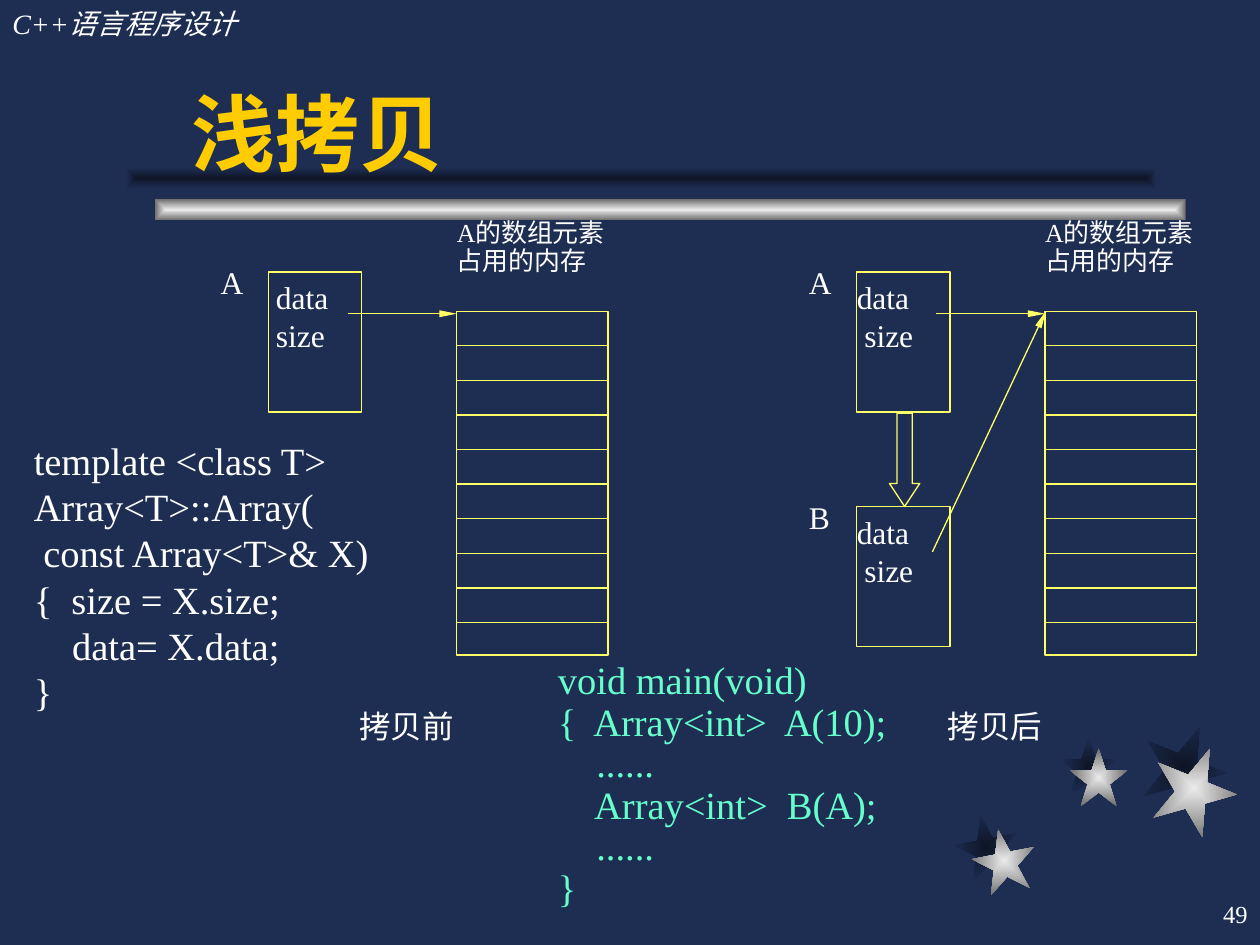
from typing import NamedTuple

from lxml.etree import SubElement
from pptx import Presentation
from pptx.dml.color import RGBColor as Rgb
from pptx.enum.shapes import MSO_CONNECTOR as Link, MSO_SHAPE as Kind
from pptx.enum.text import MSO_ANCHOR as Anchor, PP_ALIGN as Align
from pptx.oxml.ns import qn
from pptx.util import Inches, Pt

NAVY, DARK, PALE, GRAY = "1E2E53", "0E1526", "EAEAEA", "6C6C6C"
WHITE, GOLD, LEMON, MINT = "FFFFFF", "FFCC00", "FFFF66", "66FFCC"
SPACE = 0.06


class Box(NamedTuple):
    x: float
    y: float
    w: float
    h: float


class Style(NamedTuple):
    size: float = 18
    color: str = WHITE
    align: Align = Align.LEFT
    font: str = "Times New Roman"
    bold: bool = False
    slant: bool = False
    gap: float = 1.0
    pad: tuple = (0.1, 0.05)
    anchor: Anchor = Anchor.TOP
    wrap: bool = True


class Line(NamedTuple):
    text: str
    lead: float = 0


class Star(NamedTuple):
    x: float
    y: float
    size: float
    turn: float


class Node(NamedTuple):
    name: str
    x: float
    y: float
    leads: tuple


class Stage(NamedTuple):
    x: float
    leads: tuple
    title: str


LABEL = Style(align=Align.JUSTIFY, pad=(0, 0))
FIELD = LABEL._replace(pad=(0, 0.05))
NOTE = LABEL._replace(size=14.8, gap=0.9)
STEP = Style(align=Align.CENTER, pad=(0.1, 0))
CODE = Style(size=22)

TIPS = [(0, 0.38), (0.38, 0.38), (0.5, 0), (0.62, 0.38), (1, 0.38),
        (0.69, 0.62), (0.81, 1), (0.5, 0.76), (0.19, 1), (0.31, 0.62)]
SHADES = [Star(7.58, 6.47, 0.5, 349), Star(8.41, 5.85, 0.46, 0),
          Star(9.06, 5.75, 0.67, 22)]
STARS = [Star(7.72, 6.58, 0.5, 349), Star(8.49, 5.94, 0.46, 0),
         Star(9.14, 5.92, 0.67, 22)]
STAGES = [Stage(1.75, (SPACE, SPACE), "拷贝前"),
          Stage(6.42, (0, SPACE), "拷贝后")]
MAIN = """void main(void)
{  Array<int>  A(10);
    ......
    Array<int>  B(A);
    ......
}"""
COPY = """template <class T>
Array<T>::Array(
 const Array<T>& X)
{  size = X.size;
    data= X.data;
}"""


def paint(part, color: str) -> None:
    part.solid()
    part.fore_color.rgb = Rgb.from_string(color)


def edge(shape, color: str = LEMON) -> None:
    paint(shape.line.fill, color)
    shape.line.width = Pt(0.75)


def glow(shape, core: str, rim: str) -> None:
    shape.shadow.inherit = False
    shape.line.fill.background()
    shape.fill.gradient()
    grad = shape._element.spPr.find(qn("a:gradFill"))
    for child in list(grad):
        grad.remove(child)
    stops = SubElement(grad, qn("a:gsLst"))
    for pos, color in (("0", core), ("100000", rim)):
        stop = SubElement(stops, qn("a:gs"), pos=pos)
        SubElement(stop, qn("a:srgbClr"), val=color)
    way = SubElement(grad, qn("a:path"), path="rect")
    SubElement(way, qn("a:fillToRect"), l="50000", t="50000",
               r="50000", b="50000")


def write(shape, lines: list[Line], style: Style) -> None:
    frame = shape.text_frame
    frame.word_wrap = style.wrap
    frame.vertical_anchor = style.anchor
    frame.margin_left = frame.margin_right = Inches(style.pad[0])
    frame.margin_top = frame.margin_bottom = Inches(style.pad[1])
    for i, line in enumerate(lines):
        para = frame.add_paragraph() if i else frame.paragraphs[0]
        para.alignment = style.align
        para.line_spacing = style.gap
        if line.lead:
            para._p.get_or_add_pPr().set("marL", str(Inches(line.lead)))
        run = para.add_run()
        run.text = line.text
        font = run.font
        font.name, font.size = style.font, Pt(style.size)
        font.bold, font.italic = style.bold, style.slant
        paint(font.fill, style.color)


def add_text(shapes, box: Box, text: str, style: Style) -> None:
    area = shapes.add_textbox(*map(Inches, box))
    write(area, [Line(row) for row in text.split("\n")], style)


def add_frame(shapes, box: Box, kind: Kind = Kind.RECTANGLE):
    shape = shapes.add_shape(kind, *map(Inches, box))
    shape.shadow.inherit = False
    shape.fill.background()
    edge(shape)
    return shape


def add_bar(shapes, box: Box, core: str, rim: str) -> None:
    glow(shapes.add_shape(Kind.RECTANGLE, *map(Inches, box)), core, rim)


def add_star(shapes, star: Star, core: str, rim: str) -> None:
    dots = [(Inches(star.x + star.size * u), Inches(star.y + star.size * v))
            for u, v in TIPS]
    path = shapes.build_freeform(*dots[0])
    path.add_line_segments(dots[1:], close=True)
    shape = path.convert_to_shape()
    shape.rotation = star.turn
    glow(shape, core, rim)


def add_line(shapes, x1: float, y1: float, x2: float, y2: float,
             head: bool = False) -> None:
    line = shapes.add_connector(Link.STRAIGHT, *map(Inches, (x1, y1, x2, y2)))
    edge(line)
    if head:
        SubElement(line.line._get_or_add_ln(), qn("a:tailEnd"),
                   type="triangle", w="sm", len="lg")
    SubElement(line._element.spPr, qn("a:effectLst"))


def add_node(shapes, node: Node) -> None:
    frame = add_frame(shapes, Box(node.x + 0.38, node.y + 0.07, 0.74, 1.11))
    rows = [Line(*pair) for pair in zip(("data", "size"), node.leads)]
    write(frame, rows, FIELD)
    add_text(shapes, Box(node.x, node.y, 0.28, 0.32), node.name, LABEL)


def add_stage(shapes, stage: Stage) -> None:
    x, left, top, wide, rows = stage.x, stage.x + 1.875, 2.47, 1.2, 10
    add_node(shapes, Node("A", x, 2.09, stage.leads))
    add_frame(shapes, Box(left, top, wide, 2.73))
    for i in range(1, rows):
        y = top + i * 0.2745
        add_line(shapes, left, y, left + wide, y)
    add_text(shapes, Box(left, 1.75, 1.29, 0.69),
             "A的数组元素\n占用的内存", NOTE)
    add_line(shapes, x + 1.01, 2.49, left, 2.49, head=True)
    add_text(shapes, Box(x + 0.55, 5.61, 1.85, 0.38), stage.title, STEP)


def main() -> None:
    deck = Presentation()
    deck.slide_width, deck.slide_height = Inches(10), Inches(7.5)
    slide = deck.slides.add_slide(deck.slide_layouts[6])
    paint(slide.background.fill, NAVY)
    shapes = slide.shapes

    for stars, core, rim in ((SHADES, DARK, NAVY), (STARS, PALE, GRAY)):
        for star in stars:
            add_star(shapes, star, core, rim)
    add_bar(shapes, Box(1.23, 1.58, 8.18, 0.17), PALE, GRAY)
    add_bar(shapes, Box(1, 1.33, 8.18, 0.17), DARK, NAVY)

    add_text(shapes, Box(0, 0, 3.08, 0.37), "C++语言程序设计",
             Style(size=16, slant=True))
    add_text(shapes, Box(7.92, 7, 2.08, 0.5), "49",
             Style(size=14, align=Align.RIGHT, anchor=Anchor.MIDDLE, wrap=False))
    add_text(shapes, Box(1.42, 0.25, 7.83, 1.25), "浅拷贝",
             Style(48, GOLD, font="Arial", bold=True, anchor=Anchor.BOTTOM))

    for stage in STAGES:
        add_stage(shapes, stage)
    add_node(shapes, Node("B", 6.42, 3.95, (0, SPACE)))
    add_line(shapes, 7.4, 4.38, 8.3, 2.47, head=True)
    arrow = add_frame(shapes, Box(7.06, 3.28, 0.24, 0.74), Kind.DOWN_ARROW)
    arrow.adjustments[0], arrow.adjustments[1] = 0.5, 0.76

    add_text(shapes, Box(4.33, 5.2, 3.17, 2.08), MAIN,
             CODE._replace(color=MINT, gap=0.9))
    add_text(shapes, Box(0.17, 3.42, 3.03, 2.3), COPY, CODE)
    deck.save("out.pptx")


if __name__ == "__main__":
    main()
